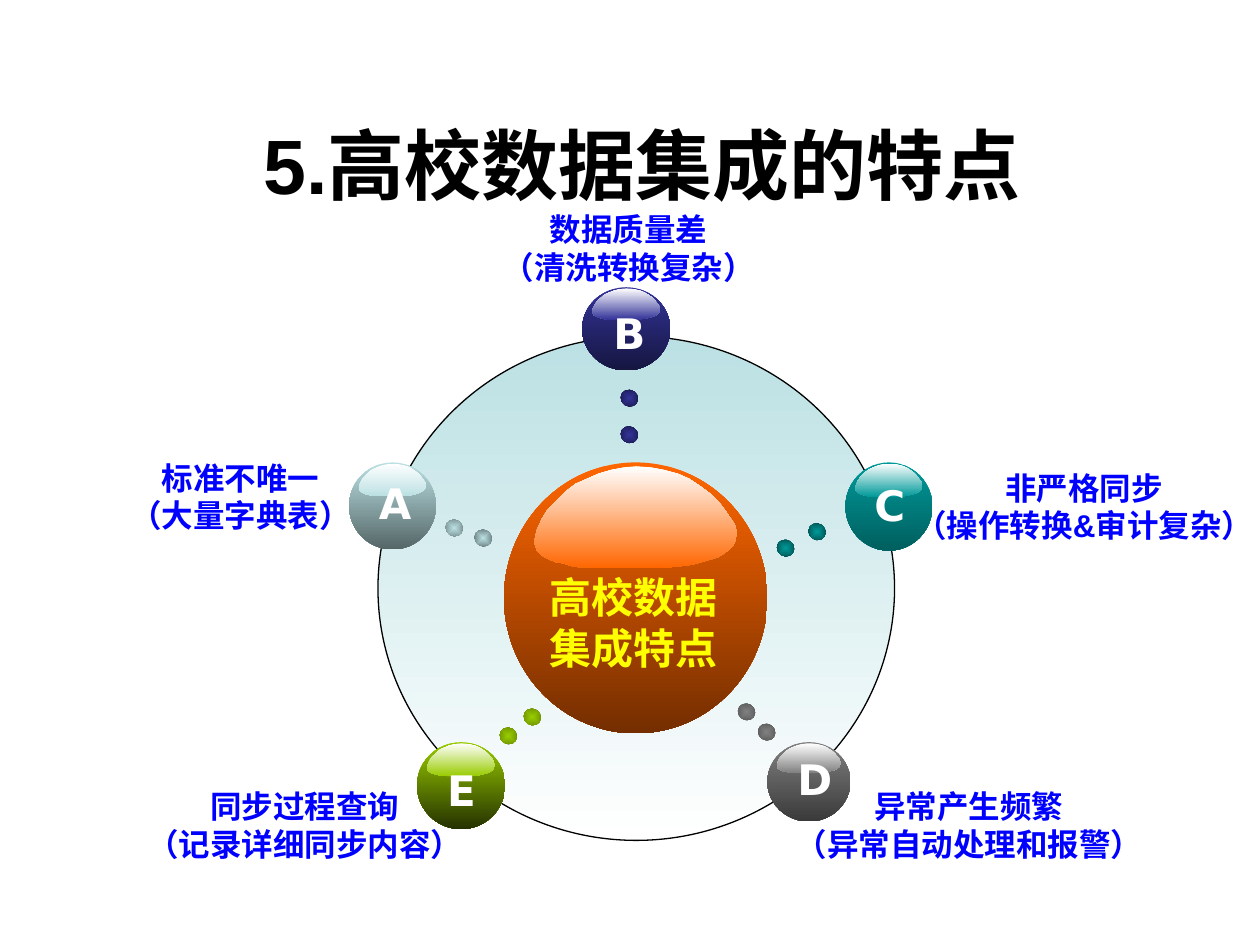
from lxml import etree
from pptx import Presentation
from pptx.dml.color import RGBColor
from pptx.enum.shapes import MSO_SHAPE
from pptx.enum.text import MSO_ANCHOR, MSO_AUTO_SIZE, PP_ALIGN
from pptx.oxml.ns import qn
from pptx.util import Inches, Pt

OVAL = MSO_SHAPE.OVAL
CENTER = PP_ALIGN.CENTER
MIDDLE, TOP = MSO_ANCHOR.MIDDLE, MSO_ANCHOR.TOP
FIT_SHAPE, FIT_NONE = MSO_AUTO_SIZE.SHAPE_TO_FIT_TEXT, MSO_AUTO_SIZE.NONE

# Highlight outline on a grid of 161 by 81 units
GLOSS_GRID = (161, 81)
GLOSS = [
    (159, 46), (161, 51), (161, 55), (160, 59), (158, 63), (155, 66), (151, 69),
    (146, 72), (140, 74), (133, 76), (126, 78), (118, 79), (109, 80), (97, 81),
    (58, 81), (50, 81), (42, 80), (35, 80), (29, 79), (23, 77), (17, 76),
    (12, 74), (8, 72), (5, 70), (2, 67), (1, 63), (0, 60), (1, 56), (2, 51),
    (6, 42), (11, 34), (18, 27), (25, 20), (33, 14), (42, 10), (51, 6), (61, 3),
    (71, 1), (81, 0), (93, 1), (103, 3), (114, 6), (123, 10), (132, 16),
    (140, 22), (147, 29), (153, 37),
]
DOT_SIZE = (0.13, 0.14)

# letter, ball box, letter box, light, dark, dots (left, top, dark), label box, label
NODES = [
    ("B", (4.62, 2.28, 0.7, 0.66), (4.77, 2.39, 0.42, 0.5), "333399", "161641",
     [(4.93, 3.09, "171746"), (4.93, 3.38, "19194A")],
     (3.82, 1.62, 2.34, 0.7), ["数据质量差", "（清洗转换复杂）"]),
    ("E", (3.31, 5.89, 0.7, 0.69), (3.45, 6.02, 0.38, 0.5), "99CC00", "253200",
     [(3.97, 5.77, "668800"), (4.16, 5.62, "668800")],
     (1.02, 6.2, 2.8, 0.7), ["同步过程查询", "（记录详细同步内容）"]),
    ("C", (6.71, 3.67, 0.69, 0.7), (6.84, 3.76, 0.41, 0.5), "009999", "005F5F",
     [(6.42, 4.15, "004444"), (6.17, 4.28, "004444")],
     (7.13, 3.67, 2.95, 1), ["非严格同步", "（操作转换&审计复杂）"]),
    ("D", (6.09, 5.89, 0.66, 0.63), (6.23, 5.93, 0.44, 0.5), "808080", "3A3A3A",
     [(6.02, 5.74, "555555"), (5.86, 5.58, "555555")],
     (6.18, 6.2, 3.02, 0.7), ["异常产生频繁", "（异常自动处理和报警）"]),
    ("A", (2.77, 3.67, 0.69, 0.69), (2.91, 3.74, 0.43, 0.5), "BBE0E3", "556667",
     [(3.54, 4.12, "6C8183"), (3.77, 4.2, "5B6D6E")],
     (0.86, 3.59, 2.1, 0.7), ["标准不唯一", "（大量字典表）"]),
]


def color(value):
    return RGBColor.from_string(value)


def style_gradient(shape, start, end):
    """Fill from start at the top to end at the bottom, with no outline."""
    shape.shadow.inherit = False
    shape.line.fill.background()
    shape.fill.gradient()
    shape.fill.gradient_angle = 270
    for stop, value in zip(shape.fill.gradient_stops, (start, end)):
        stop.color.rgb = color(value)


def add_oval(page, box, start, end):
    oval = page.shapes.add_shape(OVAL, *map(Inches, box))
    style_gradient(oval, start, end)
    return oval


def add_text(page, box, lines, size, value, font="Arial", wrap=True,
             anchor=TOP, fit=FIT_SHAPE):
    frame = page.shapes.add_textbox(*map(Inches, box)).text_frame
    frame.word_wrap = wrap
    frame.vertical_anchor = anchor
    frame.auto_size = fit
    frame.text = "\n".join(lines)
    for para in frame.paragraphs:
        para.alignment = CENTER
        para.font.name = font
        para.font.size = Pt(size)
        para.font.bold = True
        para.font.color.rgb = color(value)


def add_ball(page, box, light, dark):
    """A shaded ball with a white highlight in its upper part."""
    left, top, width, height = box
    add_oval(page, box, light, dark)
    scale = (Inches(0.77 * width) / GLOSS_GRID[0],
             Inches(0.377 * height) / GLOSS_GRID[1])
    builder = page.shapes.build_freeform(*GLOSS[0], scale=scale)
    builder.add_line_segments(GLOSS[1:], close=True)
    gloss = builder.convert_to_shape(Inches(left + 0.115 * width),
                                     Inches(top + 0.014 * height))
    style_gradient(gloss, "FFFFFF", light)


def add_dot(page, left, top, light, dark):
    dot = add_oval(page, (left, top, *DOT_SIZE), light, dark)
    dot.rotation = 303.8
    # Shade from the centre outwards
    gradient = dot._element.spPr.find(qn("a:gradFill"))
    gradient.remove(gradient.find(qn("a:lin")))
    shade = etree.SubElement(gradient, qn("a:path"), {"path": "rect"})
    etree.SubElement(shade, qn("a:fillToRect"),
                     {side: "50000" for side in "ltrb"})


def add_hub(page, ring_box, ball_box, text_box):
    ring = add_oval(page, ring_box, "BBE0E3", "FFFFFF")
    ring.line.color.rgb = color("000000")
    ring.line.width = Pt(0.75)
    add_ball(page, ball_box, "FF6600", "742E00")
    add_text(page, text_box, ["高校数据", "集成特点"], 24, "FFFF00")


def add_node(page, letter, ball_box, letter_box, light, dark, dots, label_box, label):
    add_ball(page, ball_box, light, dark)
    add_text(page, letter_box, [letter], 24, "FFFFFF", "DejaVu Sans", wrap=False)
    for left, top, edge in dots:
        add_dot(page, left, top, light, edge)
    add_text(page, label_box, label, 18, "0000FF")


def main():
    deck = Presentation()
    deck.slide_width, deck.slide_height = Inches(10), Inches(7.5)
    page = deck.slides.add_slide(deck.slide_layouts[6])

    # Title
    add_text(page, (1.06, 0.99, 8.08, 0.62), ["5.高校数据集成的特点"], 44, "000000",
             anchor=MIDDLE, fit=FIT_NONE)
    # Ring with the central ball
    add_hub(page, (3, 2.67, 4.1, 4), (4, 3.67, 2.09, 2.15), (4.21, 4.49, 1.63, 0.9))
    # Lettered balls around the ring
    for node in NODES:
        add_node(page, *node)

    deck.save("out.pptx")


if __name__ == "__main__":
    main()
